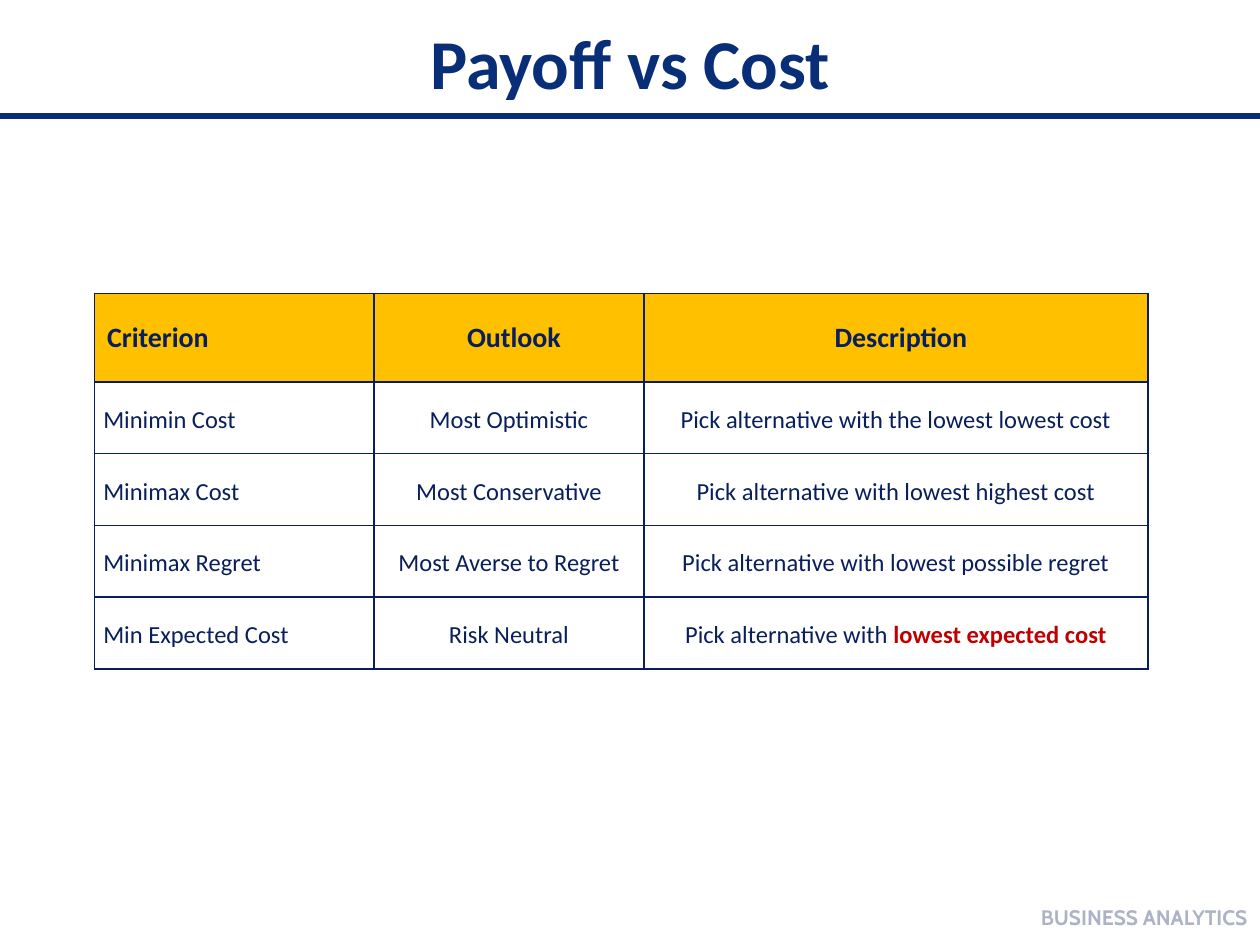
"""Build the Payoff vs Cost slide with its table of decision criteria."""
from lxml.etree import SubElement
from pptx import Presentation
from pptx.dml.color import RGBColor
from pptx.enum.shapes import MSO_CONNECTOR
from pptx.enum.text import MSO_ANCHOR, PP_ALIGN
from pptx.oxml import parse_xml
from pptx.oxml.ns import nsdecls, qn
from pptx.util import Inches, Pt

TITLE_BLUE = RGBColor(0x09, 0x2E, 0x78)
TABLE_NAVY = RGBColor(0x08, 0x1F, 0x5B)
FOOTER_NAVY = RGBColor(0x06, 0x19, 0x4C)
GOLD = RGBColor(0xFF, 0xC0, 0x00)
RED = RGBColor(0xC0, 0x00, 0x00)

COLUMN_WIDTHS = [2.22, 2.14, 4]
ROW_HEIGHTS = [0.7] + [0.57] * 4
ROWS = [
    ["Criterion", "Outlook", "Description"],
    ["Minimin Cost", "Most Optimistic", "Pick alternative with the lowest lowest cost"],
    ["Minimax Cost", "Most Conservative", "Pick alternative with lowest highest cost"],
    ["Minimax Regret", "Most Averse to Regret", "Pick alternative with lowest possible regret"],
    ["Min Expected Cost", "Risk Neutral", "Pick alternative with "],
]


def add_run(paragraph, text, size, color, bold=True, font="Calibri"):
    run = paragraph.add_run()
    run.text = text
    run.font.name = font
    run.font.size = Pt(size)
    run.font.bold = bold
    run.font.color.rgb = color
    return run


def add_text_box(slide, left, top, width, height, alignment):
    text_frame = slide.shapes.add_textbox(
        Inches(left), Inches(top), Inches(width), Inches(height)
    ).text_frame
    text_frame.word_wrap = True
    text_frame.vertical_anchor = MSO_ANCHOR.MIDDLE
    paragraph = text_frame.paragraphs[0]
    paragraph.alignment = alignment
    return paragraph


presentation = Presentation()
presentation.slide_width = Inches(10)
presentation.slide_height = Inches(7.5)
slide = presentation.slides.add_slide(presentation.slide_layouts[6])

title_rule = slide.shapes.add_connector(
    MSO_CONNECTOR.STRAIGHT, Inches(0), Inches(0.92), Inches(10), Inches(0.92)
)
title_rule.line.color.rgb = TITLE_BLUE
title_rule.line.width = Pt(3)
SubElement(title_rule._element.spPr, qn("a:effectLst"))

footer = add_text_box(slide, 6.67, 7.08, 3.33, 0.4, PP_ALIGN.RIGHT)
footer_run = add_run(footer, "BUSINESS ANALYTICS", 12, FOOTER_NAVY, font="Cabin")
footer_color = footer_run._r.find(".//" + qn("a:srgbClr"))
SubElement(footer_color, qn("a:alpha"), val="33000")

title = add_text_box(slide, 0.69, -0.24, 8.62, 1.45, PP_ALIGN.CENTER)
add_run(title, "Payoff vs Cost", 40, TITLE_BLUE)

table = slide.shapes.add_table(
    len(ROWS), len(COLUMN_WIDTHS), Inches(0.75), Inches(2.33),
    Inches(sum(COLUMN_WIDTHS)), Inches(sum(ROW_HEIGHTS)),
).table
for column, width in zip(table.columns, COLUMN_WIDTHS):
    column.width = Inches(width)
for row, height in zip(table.rows, ROW_HEIGHTS):
    row.height = Inches(height)

for row_index, texts in enumerate(ROWS):
    is_header = row_index == 0
    left, vertical, right = (0.1, 0.05, 0.02) if is_header else (0.07, 0, 0.07)
    for column_index, text in enumerate(texts):
        cell = table.cell(row_index, column_index)
        cell.vertical_anchor = MSO_ANCHOR.MIDDLE
        cell.margin_left, cell.margin_right = Inches(left), Inches(right)
        cell.margin_top = cell.margin_bottom = Inches(vertical)
        for side in ("lnL", "lnR", "lnT", "lnB"):
            cell._tc.get_or_add_tcPr().append(parse_xml(
                f'<a:{side} {nsdecls("a")} w="{Pt(1)}"><a:solidFill>'
                f'<a:srgbClr val="{TABLE_NAVY}"/></a:solidFill></a:{side}>'
            ))
        if is_header:
            cell.fill.solid()
            cell.fill.fore_color.rgb = GOLD
        else:
            cell.fill.background()
        paragraph = cell.text_frame.paragraphs[0]
        paragraph.alignment = PP_ALIGN.CENTER if column_index else PP_ALIGN.LEFT
        if not is_header:
            paragraph.line_spacing = 1.15
        add_run(paragraph, text, 16 if is_header else 14, TABLE_NAVY, bold=is_header)

last_description = table.cell(len(ROWS) - 1, 2).text_frame.paragraphs[0]
add_run(last_description, "lowest expected cost", 14, RED)

presentation.save("out.pptx")
